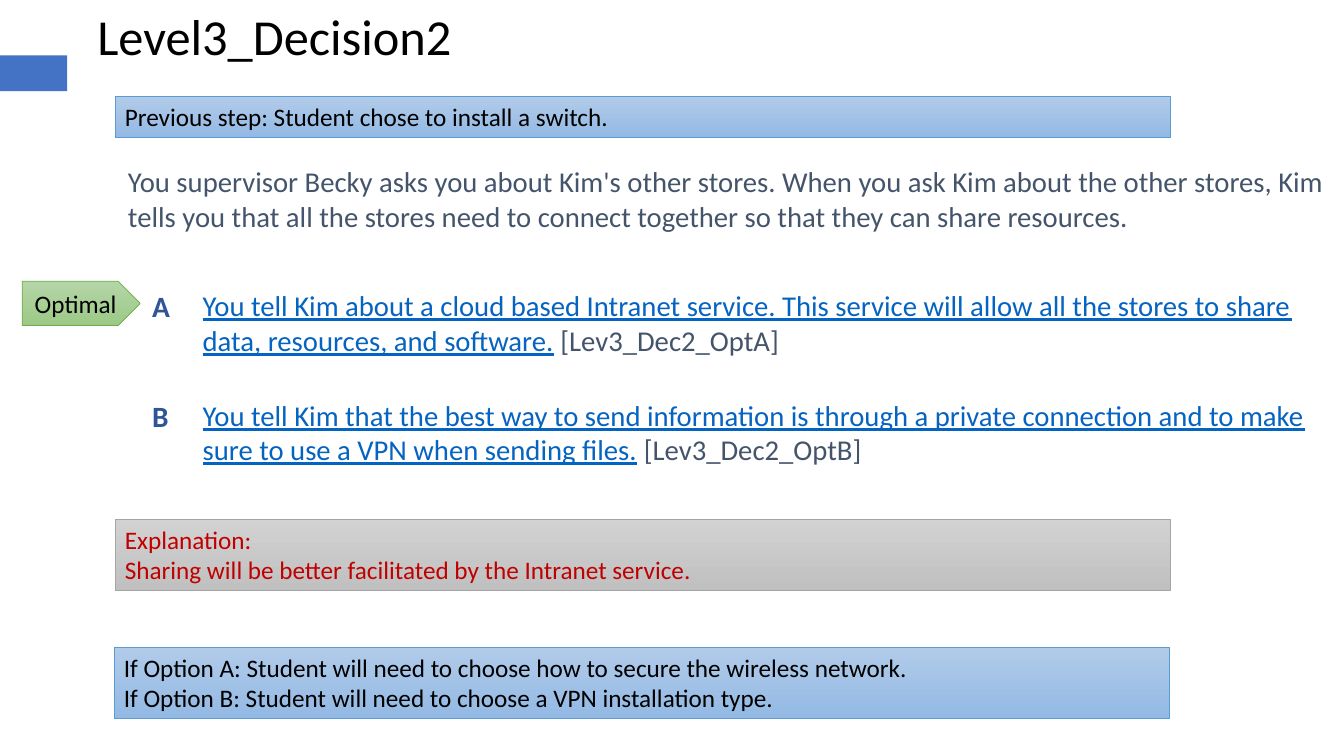
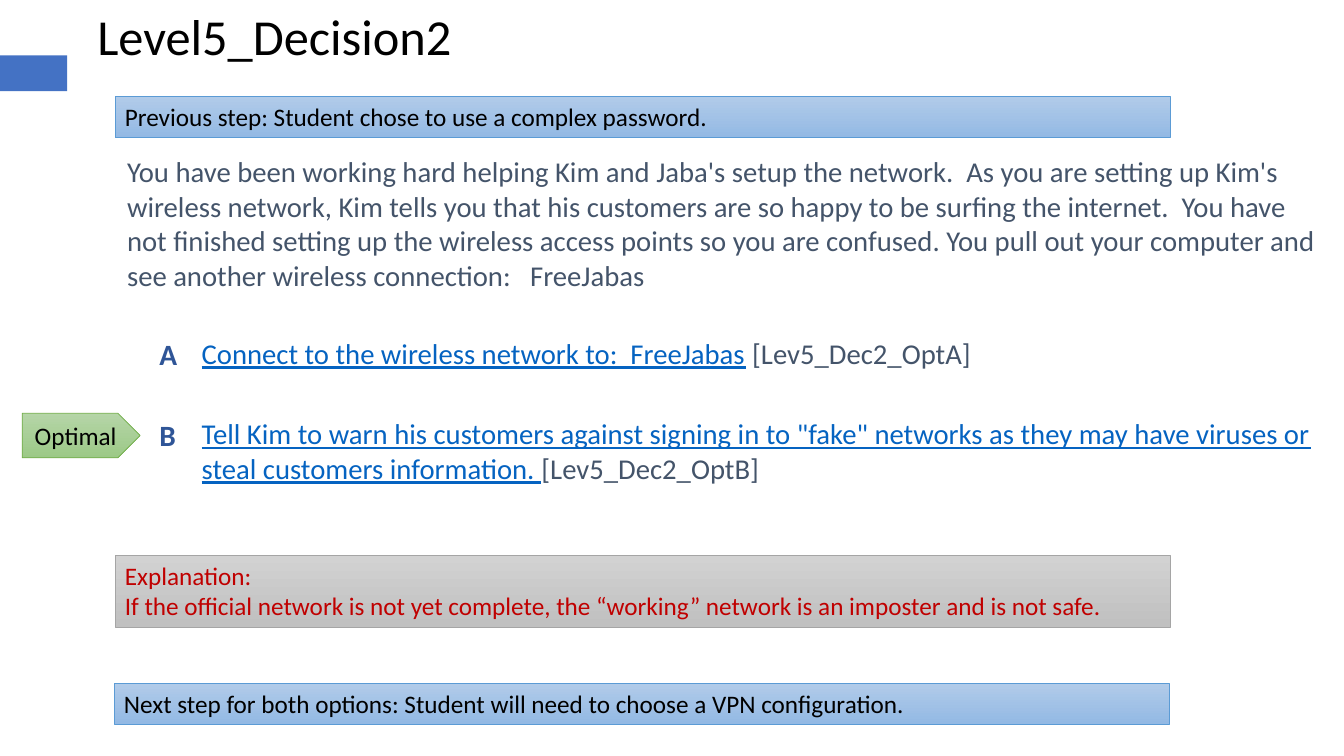
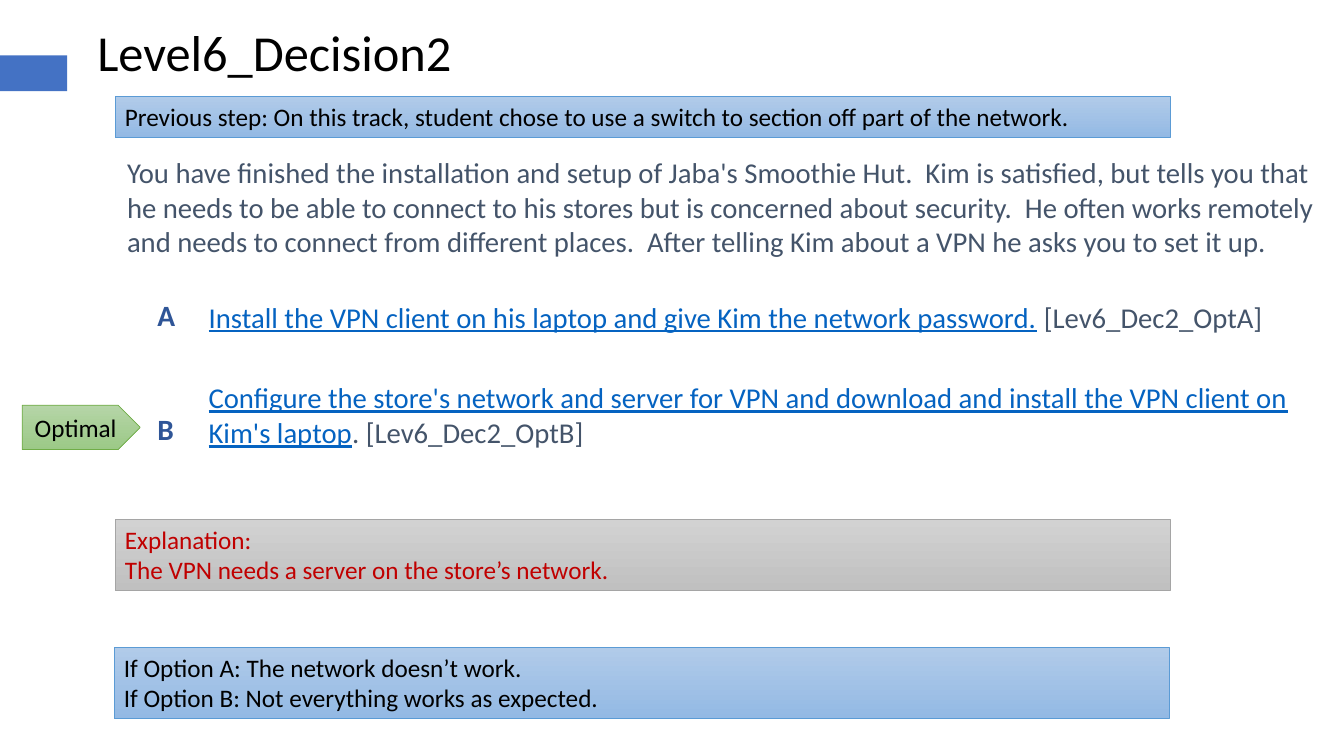
from dataclasses import dataclass
from typing import NamedTuple

from pptx import Presentation
from pptx.dml.color import RGBColor
from pptx.enum.shapes import MSO_SHAPE
from pptx.enum.text import MSO_ANCHOR, MSO_AUTO_SIZE, PP_ALIGN
from pptx.util import Inches, Pt

SLIDE_WIDTH = Inches(13.333)
SLIDE_HEIGHT = Inches(7.5)


@dataclass(frozen=True)
class Theme:
    font: str = "Calibri"
    title_size: float = 36
    letter_size: float = 21
    body_size: float = 20.5
    label_size: float = 18
    black: str = "000000"
    accent: str = "4472C4"
    body: str = "44546A"
    link: str = "0563C1"
    letter: str = "2F5597"
    warning: str = "C00000"
    # Each panel style: gradient top, gradient bottom, outline
    blue: tuple = ("B1CBE9", "93B9E4", "5B9BD5")
    gray: tuple = ("D2D2D2", "C0C0C0", "A5A5A5")
    green: tuple = ("B5D5A7", "9CC987", "70AD47")


THEME = Theme()


class Box(NamedTuple):
    """A region in percent of the slide's width and height."""
    left: float
    top: float
    width: float
    height: float

    def lengths(self):
        return (int(SLIDE_WIDTH * self.left / 100), int(SLIDE_HEIGHT * self.top / 100),
                int(SLIDE_WIDTH * self.width / 100), int(SLIDE_HEIGHT * self.height / 100))


@dataclass(frozen=True)
class Option:
    link: str
    code: str
    letter_top: float


@dataclass(frozen=True)
class Decision:
    title: str
    previous: str
    situation: str
    options: tuple
    explanation: str
    following: tuple
    situation_box: Box
    options_box: Box
    letter_left: float
    option_gap: float
    tag_top: float
    explanation_top: float
    title_top: float = 0


def write_text(frame, paragraphs, size, color, bold=False, align=PP_ALIGN.LEFT, gap=0):
    """Fill a frame; a paragraph is a string or a list of (text, color, underline)."""
    for index, content in enumerate(paragraphs):
        paragraph = frame.add_paragraph() if index else frame.paragraphs[0]
        paragraph.alignment = align
        if index and gap:
            paragraph.space_before = Pt(gap)
        pieces = [(content, color, False)] if isinstance(content, str) else content
        for text, piece_color, underline in pieces:
            run = paragraph.add_run()
            run.text = text
            font = run.font
            font.name = THEME.font
            font.size = Pt(size)
            font.bold = bold
            font.underline = underline
            font.color.rgb = RGBColor.from_string(piece_color)


def add_text(slide, box, paragraphs, **text_format):
    frame = slide.shapes.add_textbox(*box.lengths()).text_frame
    frame.word_wrap = True
    frame.margin_left = frame.margin_right = Inches(0.13)
    frame.margin_top = frame.margin_bottom = Inches(0.07)
    write_text(frame, paragraphs, **text_format)


def add_title(slide, box, title):
    frame = slide.shapes.add_textbox(*box.lengths()).text_frame
    frame.word_wrap = False
    frame.auto_size = MSO_AUTO_SIZE.SHAPE_TO_FIT_TEXT
    write_text(frame, [title], size=THEME.title_size, color=THEME.black)


def add_panel(slide, geometry, box, style, paragraphs, anchor=MSO_ANCHOR.TOP, **text_format):
    shape = slide.shapes.add_shape(geometry, *box.lengths())
    shape.shadow.inherit = False
    top_color, bottom_color, line_color = style
    shape.fill.gradient()
    shape.fill.gradient_angle = 270
    for stop, color in zip(shape.fill.gradient_stops, (top_color, bottom_color)):
        stop.color.rgb = RGBColor.from_string(color)
    shape.line.color.rgb = RGBColor.from_string(line_color)
    shape.line.width = Pt(0.5)
    frame = shape.text_frame
    frame.word_wrap = True
    frame.vertical_anchor = anchor
    write_text(frame, paragraphs, size=THEME.label_size, **text_format)
    return shape


def add_banner(slide, left, top, paragraphs, style=THEME.blue, color=THEME.black):
    """Add a full-width panel whose height follows its number of lines."""
    box = Box(left, top, 78.53, 1.33 + 4.07 * len(paragraphs))
    banner = add_panel(slide, MSO_SHAPE.RECTANGLE, box, style, paragraphs, color=color)
    banner.text_frame.auto_size = MSO_AUTO_SIZE.SHAPE_TO_FIT_TEXT


def add_options(slide, box, options, letter_left, gap):
    paragraphs = [[(option.link, THEME.link, True), (option.code, THEME.body, False)]
                  for option in options]
    add_text(slide, box, paragraphs, size=THEME.body_size, color=THEME.body, gap=gap)
    for letter, option in zip("AB", options):
        add_text(slide, Box(letter_left, box.top + option.letter_top, 5.1, 5.87), [letter],
                 size=THEME.letter_size, color=THEME.letter, bold=True)


def add_decision(presentation, layout, decision):
    slide = presentation.slides.add_slide(layout)
    add_text(slide, decision.situation_box, [decision.situation],
             size=THEME.body_size, color=THEME.body)
    add_options(slide, decision.options_box, decision.options,
                decision.letter_left, decision.option_gap)
    add_title(slide, Box(6.5, decision.title_top, 27.9, 9.47), decision.title)
    add_banner(slide, 8.55, 12.8, ["Previous step: " + decision.previous])
    add_banner(slide, 8.48, decision.explanation_top + 16.93, decision.following)
    add_banner(slide, 8.55, decision.explanation_top, ["Explanation:", decision.explanation],
               style=THEME.gray, color=THEME.warning)
    add_panel(slide, MSO_SHAPE.PENTAGON, Box(1.65, decision.tag_top, 8.78, 5.87),
              THEME.green, ["Optimal"], anchor=MSO_ANCHOR.MIDDLE,
              color=THEME.black, align=PP_ALIGN.CENTER)
    return slide


def add_layout_accent(slide, layout):
    """Draw the left accent bar and move it to the shared layout."""
    accent = slide.shapes.add_shape(MSO_SHAPE.RECTANGLE, *Box(0, 7.33, 5, 4.73).lengths())
    accent.shadow.inherit = False
    accent.fill.solid()
    accent.fill.fore_color.rgb = RGBColor.from_string(THEME.accent)
    accent.line.fill.background()
    layout.shapes.element.append(accent.element)


DECISIONS = (
    Decision(
        title="Level3_Decision2",
        previous="Student chose to install a switch.",
        situation="You supervisor Becky asks you about Kim's other stores. When you ask Kim "
                  "about the other stores, Kim tells you that all the stores need to connect "
                  "together so that they can share resources.",
        options=(
            Option("You tell Kim about a cloud based Intranet service. This service will allow "
                   "all the stores to share data, resources, and software.",
                   " [Lev3_Dec2_OptA]", 0),
            Option("You tell Kim that the best way to send information is through a private "
                   "connection and to make sure to use a VPN when sending files.",
                   " [Lev3_Dec2_OptB]", 14.53)),
        explanation="Sharing will be better facilitated by the Intranet service.",
        following=("If Option A: Student will need to choose how to secure the wireless network.",
                   "If Option B: Student will need to choose a VPN installation type."),
        situation_box=Box(8.55, 20.8, 91.43, 14.13),
        options_box=Box(14.1, 37.2, 85.9, 29.07),
        letter_left=10.35, option_gap=29, tag_top=37.2, explanation_top=68.67),
    Decision(
        title="Level5_Decision2",
        previous="Student chose to use a complex password.",
        situation="You have been working hard helping Kim and Jaba's setup the network.  As you "
                  "are setting up Kim's wireless network, Kim tells you that his customers are "
                  "so happy to be surfing the internet.  You have not finished setting up the "
                  "wireless access points so you are confused. You pull out your computer and "
                  "see another wireless connection:   FreeJabas",
        options=(
            Option("Connect to the wireless network to:  FreeJabas", " [Lev5_Dec2_OptA]", 0),
            Option("Tell Kim to warn his customers against signing in to \"fake\" networks as "
                   "they may have viruses or steal customers information. ",
                   "[Lev5_Dec2_OptB]", 10.8)),
        explanation="If the official network is not yet complete, the “working” network is an "
                    "imposter and is not safe.",
        following=("Next step for both options: Student will need to choose a VPN "
                   "configuration.",),
        situation_box=Box(8.48, 19.47, 91.2, 22.27),
        options_box=Box(14.03, 43.47, 85.73, 23.2),
        letter_left=10.88, option_gap=33, tag_top=54.67, explanation_top=73.47),
    Decision(
        title="Level6_Decision2",
        previous="On this track, student chose to use a switch to section off part of the "
                 "network.",
        situation="You have finished the installation and setup of Jaba's Smoothie Hut.  Kim is "
                  "satisfied, but tells you that he needs to be able to connect to his stores "
                  "but is concerned about security.  He often works remotely and needs to "
                  "connect from different places.  After telling Kim about a VPN he asks you to "
                  "set it up.",
        options=(
            Option("Install the VPN client on his laptop and give Kim the network password.",
                   " [Lev6_Dec2_OptA]", -0.27),
            Option("Configure the store's network and server for VPN and download and install "
                   "the VPN client on Kim's laptop", ". [Lev6_Dec2_OptB]", 14.8)),
        explanation="The VPN needs a server on the store’s network.",
        following=("If Option A: The network doesn’t work.",
                   "If Option B: Not everything works as expected."),
        situation_box=Box(8.48, 19.6, 91.2, 17.73),
        options_box=Box(14.55, 38.67, 85.43, 24.67),
        letter_left=10.73, option_gap=33, tag_top=53.6, explanation_top=68.67,
        title_top=2.13),
)


def main():
    presentation = Presentation()
    presentation.slide_width = SLIDE_WIDTH
    presentation.slide_height = SLIDE_HEIGHT
    layout = presentation.slide_layouts[6]
    slides = [add_decision(presentation, layout, decision) for decision in DECISIONS]
    add_layout_accent(slides[0], layout)
    presentation.save("out.pptx")


if __name__ == "__main__":
    main()
